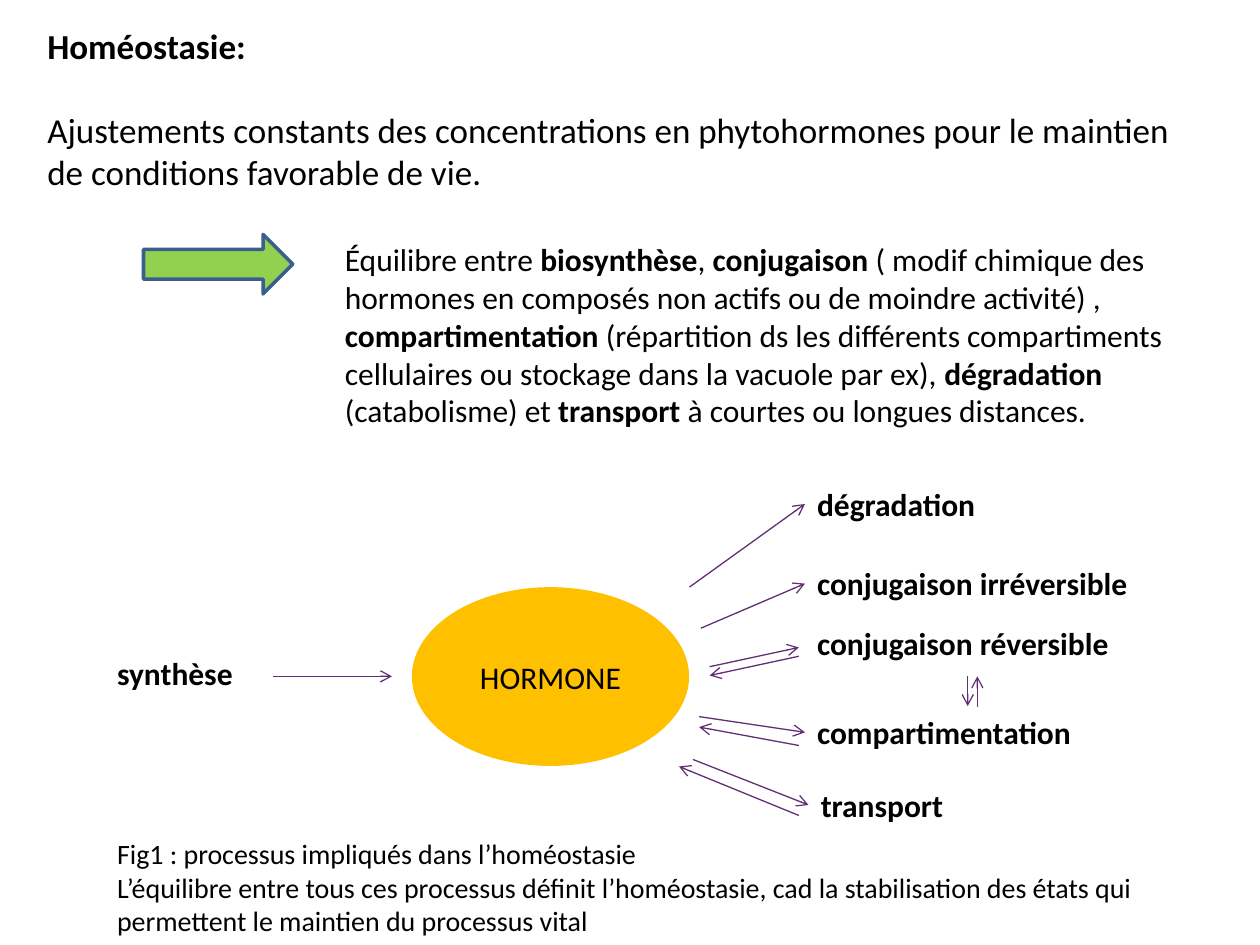
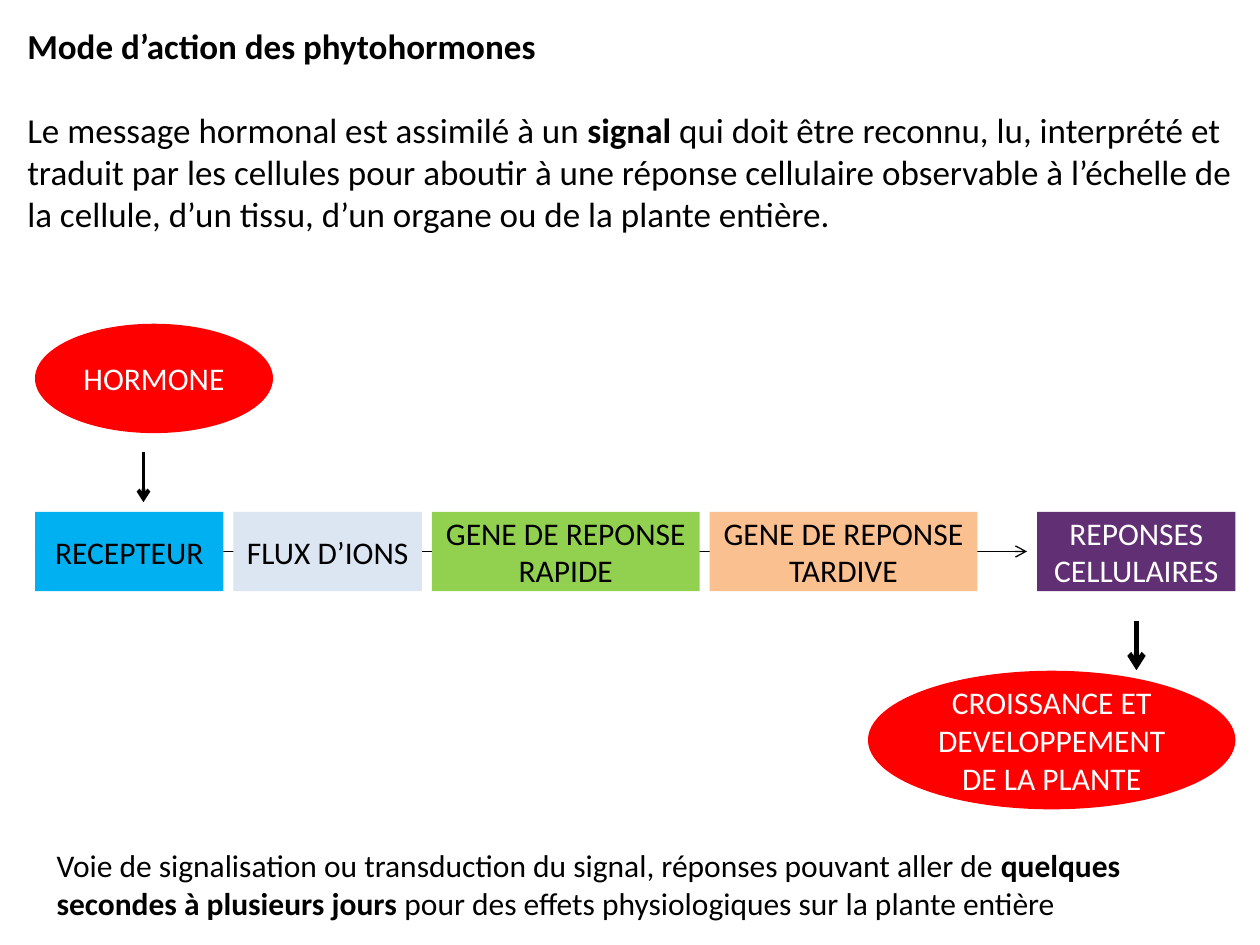
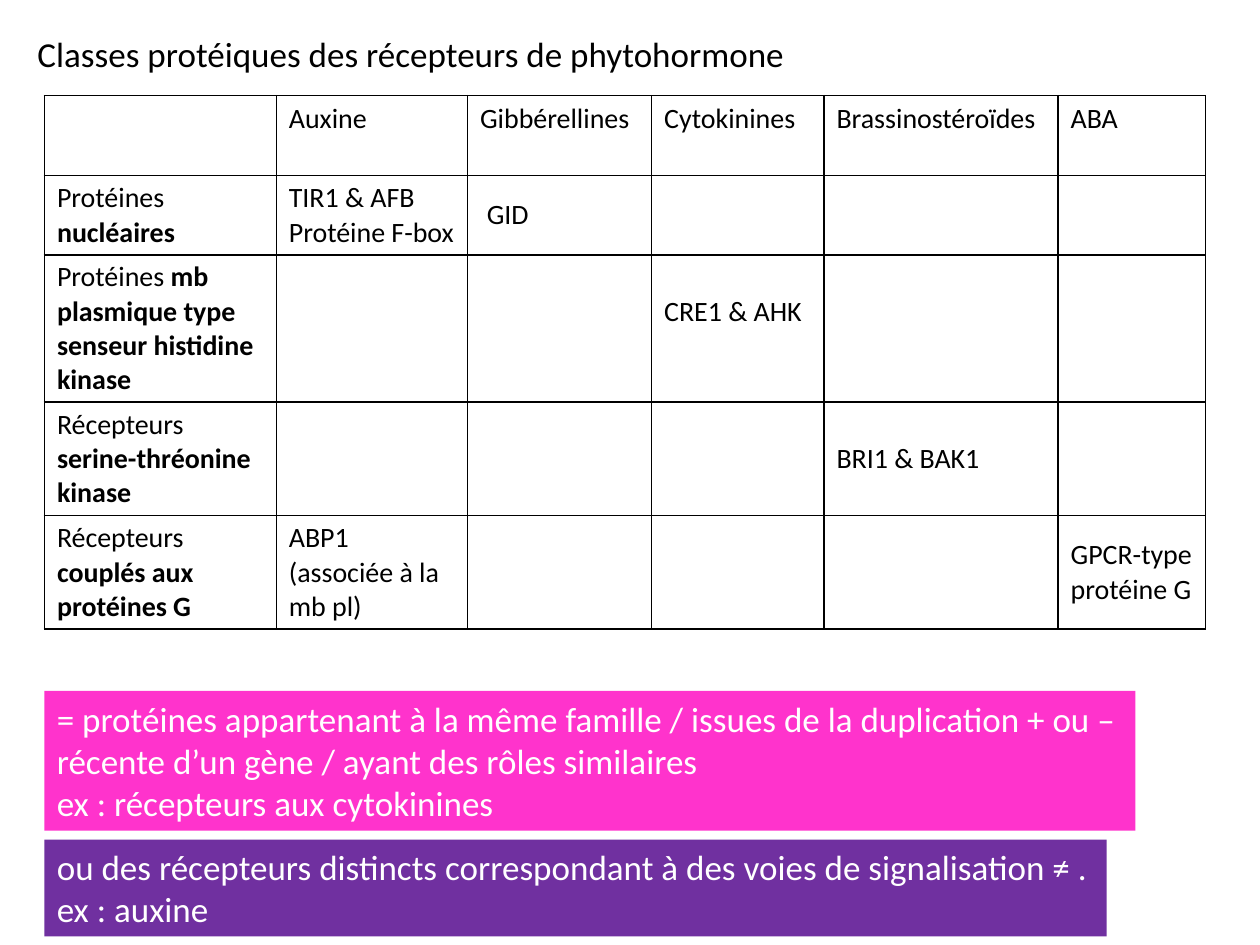
"""Build three slides on phytohormone homeostasis, signalling and receptors."""
from dataclasses import dataclass

from lxml.etree import SubElement
from pptx import Presentation
from pptx.dml.color import RGBColor
from pptx.enum.shapes import MSO_CONNECTOR, MSO_SHAPE
from pptx.enum.text import MSO_ANCHOR, MSO_AUTO_SIZE, PP_ALIGN
from pptx.oxml.ns import qn
from pptx.util import Pt


@dataclass(frozen=True)
class Theme:
    font: str = "Calibri"
    black: str = "000000"
    white: str = "FFFFFF"
    purple: str = "612F73"
    violet: str = "7030A0"
    pink: str = "FF33CC"
    red: str = "FF0000"
    amber: str = "FFC000"
    green: str = "92D050"
    blue: str = "00B0F0"
    pale_blue: str = "DCE6F2"
    peach: str = "FAC090"
    arrow_edge: str = "3A5F8C"
    lead: int = 20
    normal: int = 18
    small: int = 16


THEME = Theme()

HOMEOSTASIS_TITLE = "**Homéostasie:**"
HOMEOSTASIS_LEAD = ("Ajustements constants des concentrations en phytohormones pour le maintien "
                    "de conditions favorable de vie.")
BALANCE = ("Équilibre entre **biosynthèse**, **conjugaison** ( modif chimique des hormones en "
           "composés non actifs ou de moindre activité) , **compartimentation** (répartition ds "
           "les différents compartiments cellulaires ou stockage dans la vacuole par ex), "
           "**dégradation** (catabolisme) et **transport** à courtes ou longues distances.")
PROCESS_LABELS = [
    ("synthèse", 59.8, 370, 81),
    ("dégradation", 459.8, 273.5, 110),
    ("conjugaison irréversible", 459.8, 319, 196),
    ("conjugaison réversible", 459.8, 352.8, 184),
    ("compartimentation", 459.8, 404, 162),
    ("transport", 462, 445.5, 86),
]
PROCESS_ARROWS = [
    ((156, 386.5), (224, 386.5)),
    ((394, 335.5), (460, 288)),
    ((400.5, 359), (460, 333.5)),
    ((405.5, 381), (456.5, 370)),
    ((456.5, 375), (405.5, 386)),
    ((399.5, 409.5), (460, 418.5)),
    ((456.5, 426), (399.5, 415.5)),
    ((553, 386.5), (553, 403.5)),
    ((558.5, 404), (558.5, 386.5)),
    ((396, 434), (462, 460)),
    ((456.5, 466), (388, 438)),
]
FIGURE_CAPTION = [
    "Fig1 : processus impliqués dans l’homéostasie",
    "L’équilibre entre tous ces processus définit l’homéostasie, cad la stabilisation des états "
    "qui permettent le maintien du processus vital",
]

ACTION_TITLE = "**Mode d’action des phytohormones**"
ACTION_LEAD = ("Le message hormonal est assimilé à un **signal** qui doit être reconnu, lu, "
               "interprété et traduit par les cellules pour aboutir à une réponse cellulaire "
               "observable à l’échelle de la cellule, d’un tissu, d’un organe ou de la plante "
               "entière.")
PATHWAY_STEPS = [
    ("RECEPTEUR", 107.7, THEME.blue, THEME.black),
    ("FLUX D’IONS", 107.7, THEME.pale_blue, THEME.black),
    ("GENE DE REPONSE RAPIDE", 153, THEME.green, THEME.black),
    ("GENE DE REPONSE TARDIVE", 153, THEME.peach, THEME.black),
    ("REPONSES CELLULAIRES", 113.4, THEME.purple, THEME.white),
]
PATHWAY_LEFT, PATHWAY_RIGHT, PATHWAY_GAP = 20, 706, 5.7
PATHWAY_TOP, PATHWAY_HEIGHT = 292.5, 45.3
PATHWAY_NOTE = ("Voie de signalisation ou transduction du signal, réponses pouvant aller de "
                "**quelques secondes à plusieurs jours** pour des effets physiologiques sur la "
                "plante entière")

RECEPTOR_TITLE = "Classes protéiques des récepteurs de phytohormone"
HORMONES = ["", "Auxine", "Gibbérellines", "Cytokinines", "Brassinostéroïdes", "ABA"]
RECEPTORS = [
    ["Protéines **nucléaires**", ["TIR1 & AFB", "Protéine F-box"], "GID", "", "", ""],
    ["Protéines **mb plasmique type senseur histidine kinase**", "", "", "CRE1 & AHK", "", ""],
    ["Récepteurs **serine-thréonine kinase**", "", "", "", "BRI1 & BAK1", ""],
    ["Récepteurs **couplés aux protéines G**", "ABP1 (associée à la mb pl)", "", "", "",
     "GPCR-type protéine G"],
]
COLUMN_WIDTHS = [132.5, 109.3, 105.2, 98.5, 133.8, 84.2]
ROW_HEIGHTS = [45.7, 45.5, 84, 64.9, 64.9]
CELL_MARGIN = 2.7
RECEPTOR_NOTES = [
    (["= protéines appartenant à la même famille / issues de la duplication + ou – récente d’un "
      "gène / ayant des rôles similaires", "ex : récepteurs aux cytokinines"],
     (25.4, 394.8, 623.5, 79.8), THEME.pink),
    ("ou des récepteurs distincts correspondant à des voies de signalisation ≠ . ex : auxine",
     (25.4, 479.8, 607, 55.4), THEME.violet),
]


def place(box):
    return [Pt(value) for value in box]


def write(frame, text, size=THEME.normal, color=THEME.black, align=PP_ALIGN.LEFT,
          anchor=MSO_ANCHOR.TOP, wrap=True, plain_list=False):
    frame.word_wrap = wrap
    frame.vertical_anchor = anchor
    for index, line in enumerate([text] if isinstance(text, str) else text):
        paragraph = frame.paragraphs[0] if index == 0 else frame.add_paragraph()
        paragraph.alignment = align
        paragraph.space_before = Pt(0)
        if plain_list:
            properties = paragraph._p.get_or_add_pPr()
            properties.set("marL", "0")
            properties.set("indent", "0")
            SubElement(properties, qn("a:buNone"))
        for part, words in enumerate(line.split("**")):
            if words:
                run = paragraph.add_run()
                run.text = words
                run.font.name = THEME.font
                run.font.size = Pt(size)
                run.font.bold = part % 2 == 1
                run.font.color.rgb = RGBColor.from_string(color)


def fill_placeholder(shape, box, text, **formats):
    shape.left, shape.top, shape.width, shape.height = place(box)
    shape.text_frame.auto_size = MSO_AUTO_SIZE.NONE
    write(shape.text_frame, text, size=THEME.lead, **formats)


def add_text(slide, box, text, **formats):
    write(slide.shapes.add_textbox(*place(box)).text_frame, text, **formats)


def add_block(slide, kind, box, fill, text="", edge=None, align=PP_ALIGN.CENTER,
              anchor=MSO_ANCHOR.MIDDLE, **formats):
    shape = slide.shapes.add_shape(kind, *place(box))
    shape.shadow.inherit = False
    shape.fill.solid()
    shape.fill.fore_color.rgb = RGBColor.from_string(fill)
    if edge:
        shape.line.color.rgb = RGBColor.from_string(edge)
        shape.line.width = Pt(2)
    else:
        shape.line.fill.background()
    if text:
        write(shape.text_frame, text, align=align, anchor=anchor, **formats)
    return shape


def add_arrow(slide, start, end, color=THEME.black, width=0.75):
    arrow = slide.shapes.add_connector(MSO_CONNECTOR.STRAIGHT, *place(start + end))
    arrow.line.color.rgb = RGBColor.from_string(color)
    arrow.line.width = Pt(width)
    SubElement(arrow.line._get_or_add_ln(), qn("a:tailEnd"), type="arrow")
    SubElement(arrow._element.spPr, qn("a:effectLst"))
    return arrow


def add_borders(cell):
    properties = cell._tc.get_or_add_tcPr()
    for index, side in enumerate(("lnL", "lnR", "lnT", "lnB")):
        line = properties.makeelement(qn(f"a:{side}"), {"w": str(Pt(1))})
        fill = SubElement(line, qn("a:solidFill"))
        SubElement(fill, qn("a:srgbClr"), val=THEME.black)
        properties.insert(index, line)


def add_lead_slide(presentation, left, width, title, lead):
    slide = presentation.slides.add_slide(presentation.slide_layouts[1])
    fill_placeholder(slide.shapes.title, (left, 10.4, width, 32), title)
    fill_placeholder(slide.placeholders[1], (left, 58.4, width, 80), lead, plain_list=True)
    return slide


def build_homeostasis(presentation):
    slide = add_lead_slide(presentation, 19.8, 663, HOMEOSTASIS_TITLE, HOMEOSTASIS_LEAD)
    add_block(slide, MSO_SHAPE.RIGHT_ARROW, (82, 134, 85.3, 34), THEME.green,
              edge=THEME.arrow_edge)
    add_text(slide, (190, 133.8, 499, 117), BALANCE)
    add_block(slide, MSO_SHAPE.OVAL, (235.4, 335.5, 158.4, 102.2), THEME.amber, "HORMONE")
    for start, end in PROCESS_ARROWS:
        add_arrow(slide, start, end, color=THEME.purple)
    for label, left, top, width in PROCESS_LABELS:
        add_text(slide, (left, top, width, 29), f"**{label}**", wrap=False)
    add_text(slide, (59.8, 474.5, 641, 65.5), FIGURE_CAPTION, size=THEME.small)


def build_action(presentation):
    slide = add_lead_slide(presentation, 8.4, 705.6, ACTION_TITLE, ACTION_LEAD)
    last_left = PATHWAY_RIGHT - PATHWAY_STEPS[-1][1]
    middle = PATHWAY_TOP + PATHWAY_HEIGHT / 2
    flow = add_arrow(slide, (PATHWAY_LEFT, middle), (last_left - PATHWAY_GAP, middle))
    left = PATHWAY_LEFT
    for index, (label, width, fill, color) in enumerate(PATHWAY_STEPS):
        if index == len(PATHWAY_STEPS) - 1:
            left = last_left
        step = add_block(slide, MSO_SHAPE.RECTANGLE, (left, PATHWAY_TOP, width, PATHWAY_HEIGHT),
                         fill, label, color=color)
        if index == 0:
            flow.begin_connect(step, 1)
        left += width + PATHWAY_GAP
    add_block(slide, MSO_SHAPE.OVAL, (20, 185, 136, 62.5), THEME.red, "HORMONE",
              color=THEME.white)
    add_block(slide, MSO_SHAPE.OVAL, (496, 383.3, 210, 79.2), THEME.red,
              "CROISSANCE ET DEVELOPPEMENT DE LA PLANTE", color=THEME.white)
    add_arrow(slide, (82, 258.5), (82, 287), width=2.25)
    add_arrow(slide, (649.4, 355), (649.4, 383), width=3)
    add_text(slide, (25.2, 479.8, 663, 51), PATHWAY_NOTE)


def build_receptors(presentation):
    slide = presentation.slides.add_slide(presentation.slide_layouts[5])
    fill_placeholder(slide.shapes.title, (14.2, 15, 471, 32), RECEPTOR_TITLE)
    rows = [HORMONES] + RECEPTORS
    box = (25.4, 54.6, sum(COLUMN_WIDTHS), sum(ROW_HEIGHTS))
    table = slide.shapes.add_table(len(rows), len(HORMONES), *place(box)).table
    table.first_row = table.horz_banding = False
    for column, width in zip(table.columns, COLUMN_WIDTHS):
        column.width = Pt(width)
    for row_index, (texts, height) in enumerate(zip(rows, ROW_HEIGHTS)):
        table.rows[row_index].height = Pt(height)
        for column_index, text in enumerate(texts):
            cell = table.cell(row_index, column_index)
            cell.fill.solid()
            cell.fill.fore_color.rgb = RGBColor.from_string(THEME.white)
            add_borders(cell)
            if text:
                write(cell.text_frame, text, size=THEME.small)
            cell.vertical_anchor = MSO_ANCHOR.MIDDLE if row_index else MSO_ANCHOR.TOP
            if row_index:
                cell.margin_top = cell.margin_bottom = Pt(CELL_MARGIN)
    table.cell(1, 2).margin_left = Pt(11)
    table.cell(2, 3).margin_bottom = Pt(22)
    for text, box, fill in RECEPTOR_NOTES:
        add_block(slide, MSO_SHAPE.RECTANGLE, box, fill, text, size=THEME.lead,
                  color=THEME.white, align=PP_ALIGN.LEFT, anchor=MSO_ANCHOR.TOP)


def main():
    presentation = Presentation()
    presentation.slide_width, presentation.slide_height = Pt(720), Pt(540)
    build_homeostasis(presentation)
    build_action(presentation)
    build_receptors(presentation)
    presentation.save("out.pptx")


if __name__ == "__main__":
    main()
